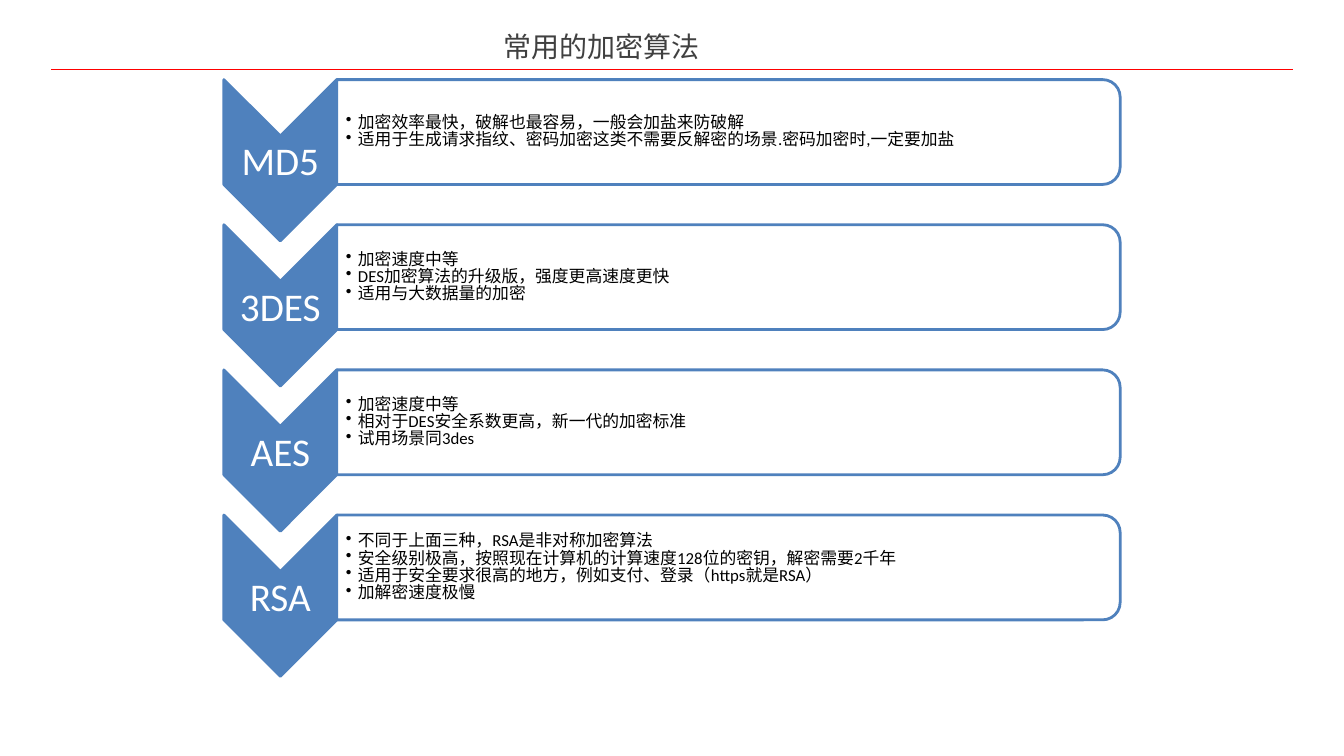
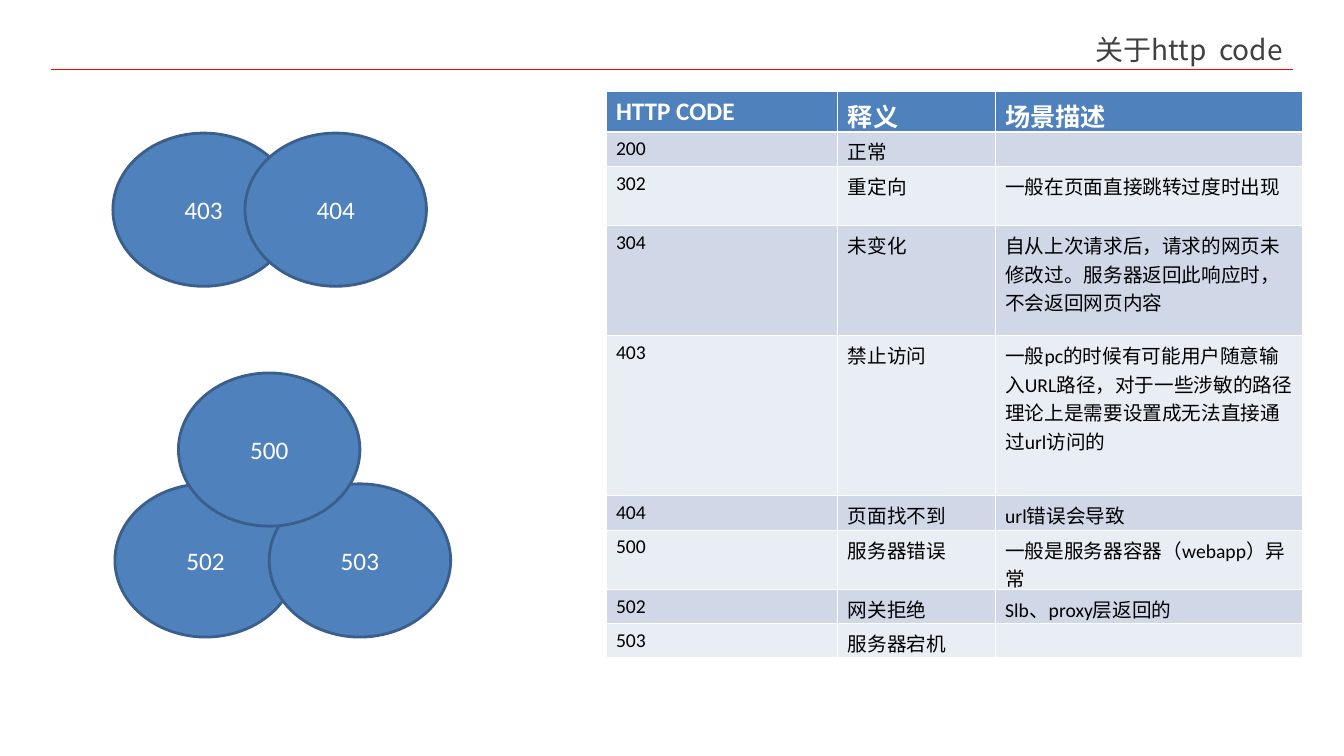
from dataclasses import dataclass

from lxml import etree
from pptx import Presentation
from pptx.dml.color import RGBColor
from pptx.enum.shapes import MSO_CONNECTOR, MSO_SHAPE
from pptx.enum.text import MSO_ANCHOR, PP_ALIGN
from pptx.oxml.ns import qn
from pptx.util import Inches, Pt

LEFT, CENTER, RIGHT = PP_ALIGN.LEFT, PP_ALIGN.CENTER, PP_ALIGN.RIGHT
MIDDLE, BOTTOM = MSO_ANCHOR.MIDDLE, MSO_ANCHOR.BOTTOM
CHEVRON, ELLIPSE = MSO_SHAPE.CHEVRON, MSO_SHAPE.OVAL
PANEL = MSO_SHAPE.ROUND_2_SAME_RECTANGLE
STRAIGHT = MSO_CONNECTOR.STRAIGHT


@dataclass(frozen=True)
class Theme:
    """Colours, fonts and type sizes of the deck."""
    rule: str = "FF0000"
    title: str = "404040"
    accent: str = "4F81BD"
    outline: str = "3A5F8C"
    white: str = "FFFFFF"
    text: str = "000000"
    bands: tuple = ("D0D8E8", "E9EDF4")
    title_font: str = "Noto Sans CJK SC"
    body_font: str = "Calibri"
    title_size: int = 20
    label_size: int = 28
    head_size: int = 18
    cell_size: int = 14
    bullet_size: int = 12


class Slides:
    """Hold the theme and the current page, and draw each kind of element."""

    def __init__(self, theme):
        self.theme = theme
        self.deck = Presentation()
        self.deck.slide_width, self.deck.slide_height = Inches(13.33), Inches(7.5)
        self.page = None

    def add_page(self, title, left, align, anchor):
        self.page = self.deck.slides.add_slide(self.deck.slide_layouts[6])
        rule = self.page.shapes.add_connector(
            STRAIGHT, Inches(0.51), Inches(0.69), Inches(12.82), Inches(0.69))
        rule.line.color.rgb = RGBColor.from_string(self.theme.rule)
        rule.line.width = Pt(0.25)
        etree.SubElement(rule._element.spPr, qn("a:effectLst"))
        frame = self.text_box(left, 0.22, 9.49, 0.48, anchor)
        self.set_text(frame.paragraphs[0], title, self.theme.title_size,
                      self.theme.title, align, font=self.theme.title_font)

    def set_text(self, para, text, size, color, align=LEFT, bold=False, font=None):
        para.text = text
        para.alignment = align
        para.font.name = font or self.theme.body_font
        para.font.size = Pt(size)
        para.font.bold = bold
        para.font.color.rgb = RGBColor.from_string(color)

    def text_box(self, left, top, width, height, anchor=MIDDLE, insets=None):
        box = self.page.shapes.add_textbox(
            Inches(left), Inches(top), Inches(width), Inches(height))
        frame = box.text_frame
        frame.word_wrap = True
        frame.vertical_anchor = anchor
        if insets:
            (frame.margin_left, frame.margin_top, frame.margin_right,
             frame.margin_bottom) = map(Inches, insets)
        return frame

    def shape(self, kind, left, top, width, height, fill, line, turn=0):
        shape = self.page.shapes.add_shape(
            kind, Inches(left), Inches(top), Inches(width), Inches(height))
        shape.shadow.inherit = False
        shape.rotation = turn
        shape.fill.solid()
        shape.fill.fore_color.rgb = RGBColor.from_string(fill)
        shape.line.color.rgb = RGBColor.from_string(line)
        shape.line.width = Pt(2)
        return shape

    def turned_shape(self, kind, left, top, width, height, fill):
        shift = (width - height) / 2
        self.shape(kind, left + shift, top - shift, height, width,
                   fill, self.theme.accent, turn=90)

    def bullets(self, frame, lines):
        for index, line in enumerate(lines):
            para = frame.add_paragraph() if index else frame.paragraphs[0]
            properties = para._p.get_or_add_pPr()
            properties.set("marL", str(Inches(0.12)))
            properties.set("indent", str(-Inches(0.12)))
            etree.SubElement(properties, qn("a:buChar"), char="•")
            para.line_spacing = 0.86
            self.set_text(para, line, self.theme.bullet_size, self.theme.text)

    def chevron_row(self, top, label, lines):
        theme = self.theme
        self.turned_shape(CHEVRON, 2.22, top, 1.12, 1.6, theme.accent)
        frame = self.text_box(2.22, top + 0.56, 1.12, 0.48, insets=[0.02] * 4)
        self.set_text(frame.paragraphs[0], label, theme.label_size, theme.white, CENTER)
        self.turned_shape(PANEL, 3.34, top, 7.77, 1.04, theme.white)
        frame = self.text_box(3.34, top + 0.05, 7.72, 0.94,
                              insets=(0.09, 0.01, 0.01, 0.01))
        self.bullets(frame, lines)

    def circle(self, left, top, label):
        theme = self.theme
        circle = self.shape(ELLIPSE, left, top, 1.8, 1.52, theme.accent, theme.outline)
        circle.text_frame.vertical_anchor = MIDDLE
        self.set_text(circle.text_frame.paragraphs[0], label,
                      theme.head_size, theme.white, CENTER)

    def table(self, left, top, widths, heights, rows):
        theme = self.theme
        table = self.page.shapes.add_table(
            len(rows), len(widths), Inches(left), Inches(top),
            Inches(sum(widths)), Inches(sum(heights))).table
        for column, width in zip(table.columns, widths):
            column.width = Inches(width)
        for index, (row, height, texts) in enumerate(zip(table.rows, heights, rows)):
            row.height = Inches(height)
            if index:
                fill, style = theme.bands[(index - 1) % 2], (theme.cell_size, theme.text)
            else:
                fill, style = theme.accent, (theme.head_size, theme.white)
            for cell, text in zip(row.cells, texts):
                cell.fill.solid()
                cell.fill.fore_color.rgb = RGBColor.from_string(fill)
                self.set_text(cell.text_frame.paragraphs[0], text, *style, bold=not index)


ALGORITHMS = [
    ("MD5", ["加密效率最快，破解也最容易，一般会加盐来防破解",
             "适用于生成请求指纹、密码加密这类不需要反解密的场景.密码加密时,一定要加盐"]),
    ("3DES", ["加密速度中等", "DES加密算法的升级版，强度更高速度更快", "适用与大数据量的加密"]),
    ("AES", ["加密速度中等", "相对于DES安全系数更高，新一代的加密标准", "试用场景同3des"]),
    ("RSA", ["不同于上面三种，RSA是非对称加密算法",
             "安全级别极高，按照现在计算机的计算速度128位的密钥，解密需要2千年",
             "适用于安全要求很高的地方，例如支付、登录（https就是RSA）",
             "加解密速度极慢"]),
]
CIRCLES = [(1.12, 1.32, "403"), (1.14, 4.8, "502"), (2.67, 4.8, "503"),
           (2.43, 1.32, "404"), (1.77, 3.7, "500")]
CODES = [
    ("HTTP CODE", "释义", "场景描述"),
    ("200", "正常", ""),
    ("302", "重定向", "一般在页面直接跳转过度时出现"),
    ("304", "未变化", "自从上次请求后，请求的网页未修改过。服务器返回此响应时，不会返回网页内容"),
    ("403", "禁止访问", "一般pc的时候有可能用户随意输入URL路径，对于一些涉敏的路径"
     "理论上是需要设置成无法直接通过url访问的"),
    ("404", "页面找不到", "url错误会导致"),
    ("500", "服务器错误", "一般是服务器容器（webapp）异常"),
    ("502", "网关拒绝", "Slb、proxy层返回的"),
    ("503", "服务器宕机", ""),
]


def main():
    slides = Slides(Theme())
    slides.add_page("常用的加密算法", 1.22, CENTER, MIDDLE)
    for index, (label, lines) in enumerate(ALGORITHMS):
        slides.chevron_row(0.79 + 1.44 * index, label, lines)

    slides.add_page("关于http  code", 3.33, RIGHT, BOTTOM)
    for left, top, label in CIRCLES:
        slides.circle(left, top, label)
    slides.table(6.01, 0.91, (2.3, 1.56, 3.05),
                 (0.34, 0.34, 0.59, 1.09, 1.59, 0.34, 0.59, 0.34, 0.34), CODES)
    slides.deck.save("out.pptx")


if __name__ == "__main__":
    main()
